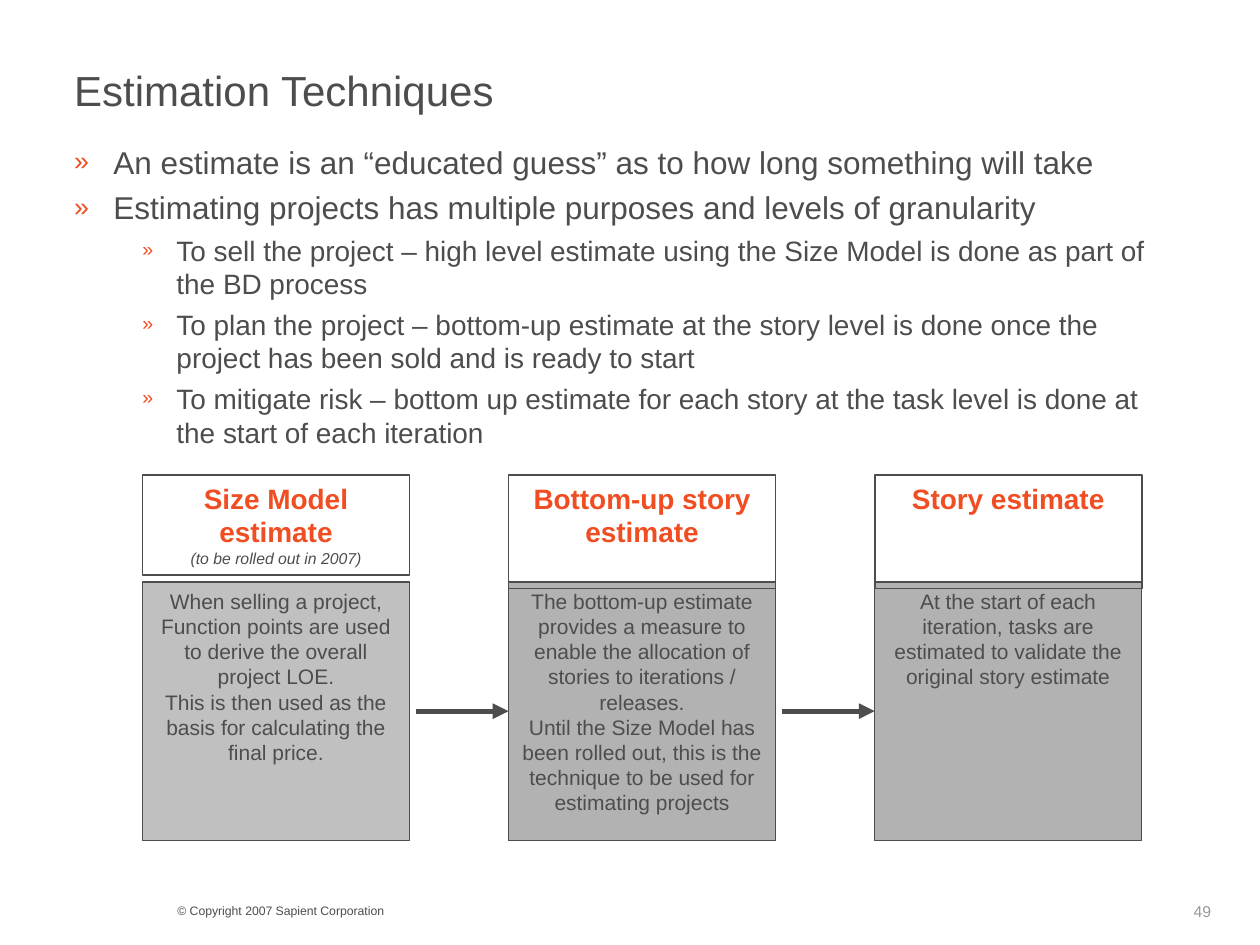
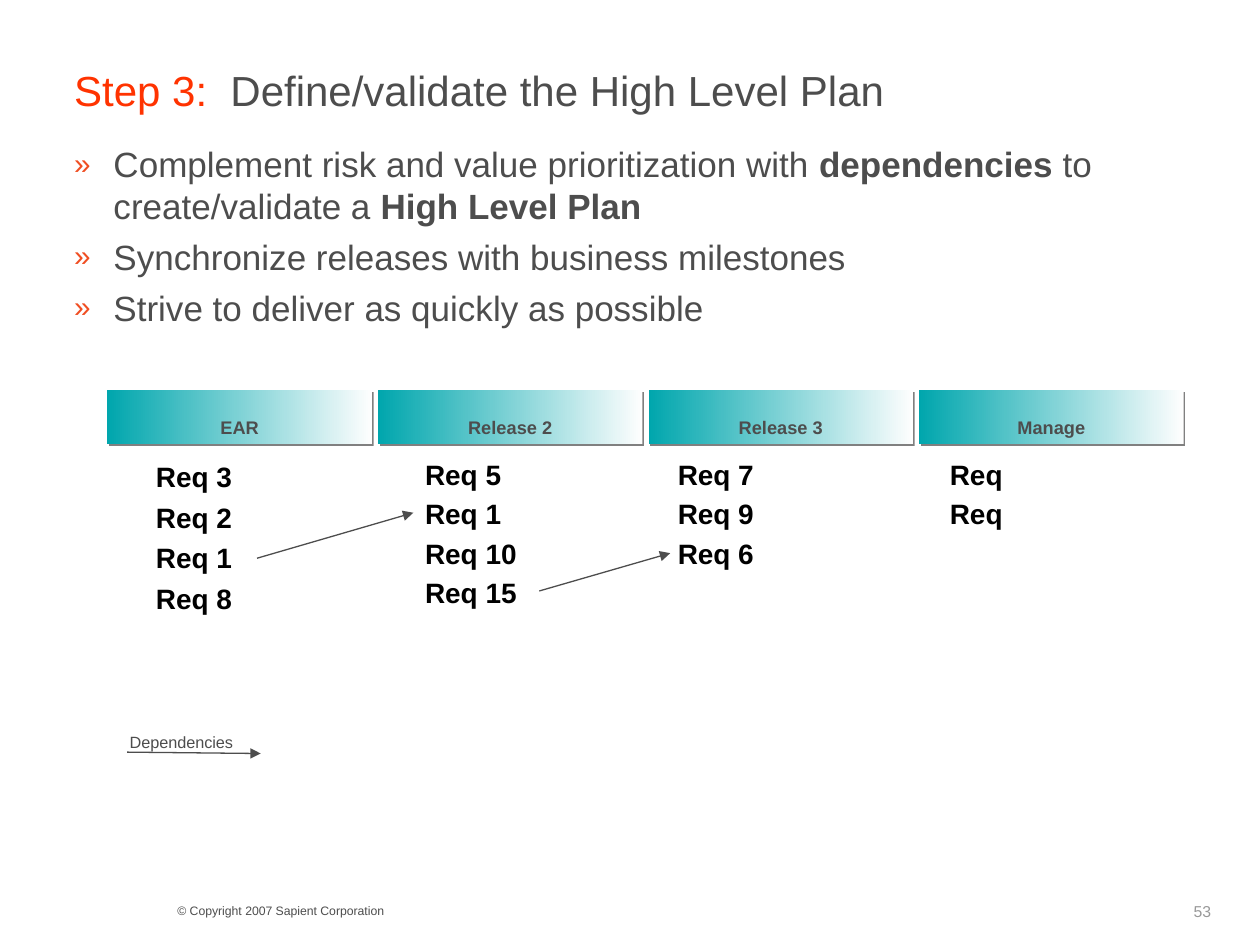
from lxml import etree
from pptx import Presentation
from pptx import util as u
from pptx.dml.color import RGBColor
from pptx.enum import shapes, text
from pptx.oxml import ns

GRAY, ORANGE, RED, BLACK = "4D4D4D", "F04E22", "FF3300", "000000"
PALE, TEAL, SHADE, NUMBER = "FEFEFE", "00A6AD", "808080", "999999"
FONT = "Arial"
COPYRIGHT = "© Copyright 2007 Sapient Corporation"

ESTIMATION = {
    "number": "49",
    "title": ["Estimation Techniques"],
    "size": 18,
    "bullets": [
        (0, ["An estimate is an “educated guess” as to how long something will take"]),
        (0, ["Estimating projects has multiple purposes and levels of granularity"]),
        (1, ["To sell the project – high level estimate using the Size Model is done as part of the BD process"]),
        (1, ["To plan the project – bottom-up estimate at the story level is done once the project "
             "has been sold and is ready to start"]),
        (1, ["To mitigate risk – bottom up estimate for each story at the task level is done at "
             "the start of each iteration"]),
    ],
}
STAGES = [
    ("Size Model estimate", "(to be rolled out in 2007)", 57, "C0C0C0",
     ["When selling a project, Function points are used to derive the overall project LOE.",
      "This is then used as the basis for calculating the final price."]),
    ("Bottom-up story estimate", None, 65, "B2B2B2",
     ["The bottom-up estimate provides a measure to enable the allocation of stories to iterations / releases.",
      "Until the Size Model has been rolled out, this is the technique to be used for estimating projects"]),
    ("Story estimate", None, 65, "B2B2B2",
     ["At the start of each iteration, tasks are estimated to validate the original story estimate"]),
]

PLAN = {
    "number": "53",
    "title": [("Step 3:", {"color": RED}), "\tDefine/validate the High Level Plan"],
    "size": 20,
    "bullets": [
        (0, ["Complement risk and value prioritization with ", ("dependencies ", {"bold": True}),
             "to create/validate a ", ("High Level Plan", {"bold": True})]),
        (0, ["Synchronize releases with business milestones"]),
        (0, ["Strive to deliver as quickly as possible"]),
    ],
}
RELEASES = [
    ("EAR", 82, 259, 23.3, ["Req 3", "Req 2", "Req 1", "Req 8"]),
    ("Release 2", 235.8, 258.2, 22.3, ["Req 5", "Req 1", "Req 10", "Req 15"]),
    ("Release 3", 380.2, 257.8, 22.6, ["Req 7", "Req 9", "Req 6"]),
    ("Manage", 535.7, 257.8, 22.3, ["Req", "Req"]),
]
DEPENDENCIES = [
    (146.9, 319, 236.2, 293),
    (308.2, 337.7, 383, 316.1),
    (72.7, 429.8, 149, 430.6),
]


def rgb(value):
    return RGBColor.from_string(value)


def add_element(parent, tag, **attributes):
    return etree.SubElement(parent, ns.qn(tag), {key: str(value) for key, value in attributes.items()})


def add_bullet(para, level):
    indent, hanging, percent = [(22.5, 22.5, 85), (58.5, 19.5, 70)][level]
    properties = para._p.get_or_add_pPr()
    properties.set("marL", str(u.Pt(indent)))
    properties.set("indent", str(-u.Pt(hanging)))
    add_element(add_element(properties, "a:buClr"), "a:srgbClr", val=ORANGE)
    add_element(properties, "a:buSzPct", val=percent * 1000)
    add_element(properties, "a:buFont", typeface=FONT)
    add_element(properties, "a:buChar", char="»")


def write(box, spans, size=12, color=GRAY, bold=False, italic=False, align=None,
          before=None, spacing=None, level=None, tab=None, baseline=None):
    frame = box.text_frame
    para = frame.paragraphs[0]
    if para.runs:
        para = frame.add_paragraph()
        if before:
            para.space_before = u.Pt(before)
    if level is not None:
        para.level = level
        add_bullet(para, level)
    if tab:
        tabs = add_element(para._p.get_or_add_pPr(), "a:tabLst")
        add_element(tabs, "a:tab", pos=u.Pt(tab), algn="l")
    if align:
        para.alignment = align
    if spacing:
        para.line_spacing = spacing
    for part in spans:
        words, changes = (part, {}) if isinstance(part, str) else part
        span = para.add_run()
        span.text = words
        font = span.font
        font.name, font.size, font.italic = FONT, u.Pt(size), italic
        font.bold = changes.get("bold", bold)
        font.color.rgb = rgb(changes.get("color", color))
        if baseline:
            span._r.get_or_add_rPr().set("baseline", str(baseline * 1000))


def add_box(page, left, top, width, height, anchor=text.MSO_ANCHOR.TOP, wrap=True):
    box = page.shapes.add_textbox(u.Pt(left), u.Pt(top), u.Pt(width), u.Pt(height))
    box.text_frame.word_wrap = wrap
    box.text_frame.vertical_anchor = anchor
    return box


def add_rectangle(page, left, top, width, height, fill=None, line=None,
                  anchor=text.MSO_ANCHOR.TOP, wrap=True):
    box = page.shapes.add_shape(shapes.MSO_SHAPE.RECTANGLE, u.Pt(left), u.Pt(top), u.Pt(width), u.Pt(height))
    box.shadow.inherit = False
    box.text_frame.word_wrap = wrap
    box.text_frame.vertical_anchor = anchor
    if fill:
        box.fill.solid()
        box.fill.fore_color.rgb = rgb(fill)
    else:
        box.fill.background()
    if line:
        box.line.color.rgb = rgb(GRAY)
        box.line.width = u.Pt(line)
    else:
        box.line.fill.background()
    return box


def add_arrow(page, x1, y1, x2, y2, width=0.75, target=None):
    arrow = page.shapes.add_connector(shapes.MSO_CONNECTOR.STRAIGHT, u.Pt(x1), u.Pt(y1), u.Pt(x2), u.Pt(y2))
    arrow.line.color.rgb = rgb(GRAY)
    arrow.line.width = u.Pt(width)
    add_element(arrow.line._get_or_add_ln(), "a:tailEnd", type="triangle")
    add_element(arrow._element.spPr, "a:effectLst")
    if target:
        arrow.end_connect(target, 1)


def add_page(deck, content):
    page = deck.slides.add_slide(deck.slide_layouts[6])
    write(add_box(page, 94.3, 512.6, 288, 16), [COPYRIGHT], size=7, spacing=1.01)
    write(add_box(page, 675, 512, 54, 17.3, wrap=False), [content["number"]], size=9, color=NUMBER)
    title = add_box(page, 35.3, 31.7, 649, 39.6, anchor=text.MSO_ANCHOR.MIDDLE)
    write(title, content["title"], size=24, tab=89.3 if len(content["title"]) > 1 else None)
    body = add_box(page, 35.3, 78, 648, 406.8)
    for level, spans in content["bullets"]:
        size = content["size"] - 2 * level
        write(body, spans, size=size, before=size / 4, level=level)
    return page


def add_stages(page):
    left, step, width = 81.4, 209.2, 152.6
    top, height = 332.6, 147.6
    center = text.PP_ALIGN.CENTER
    for index, (name, note, head_height, fill, lines) in enumerate(STAGES):
        x = left + index * step
        box = add_rectangle(page, x, top, width, height, fill=fill, line=0.75)
        for line in lines:
            write(box, [line], align=center)
        head = add_rectangle(page, x, 271.4, width, head_height, line=1)
        write(head, [name], size=16, color=ORANGE, bold=True, align=center)
        if note:
            write(head, [note], size=9, italic=True, align=center)
        if index:
            middle = top + height / 2
            add_arrow(page, x - 53, middle, x, middle, width=3, target=box)


def add_releases(page):
    for index, (name, left, top, step, items) in enumerate(RELEASES):
        band = add_rectangle(page, 61.4 + index * 154.6, 222.8, 151.2, 31,
                             anchor=text.MSO_ANCHOR.MIDDLE, wrap=False)
        band.fill.gradient()
        band.fill.gradient_angle = 180
        for stop, color in zip(band.fill.gradient_stops, (PALE, TEAL)):
            stop.color.rgb = rgb(color)
        effects = band._element.spPr.find(ns.qn("a:effectLst"))
        shadow = add_element(effects, "a:outerShdw", blurRad=0, dist=u.Pt(1.4), dir=45 * 60000,
                             algn="ctr", rotWithShape=0)
        add_element(shadow, "a:srgbClr", val=SHADE)
        write(band, [name], size=18, bold=True, align=text.PP_ALIGN.CENTER, baseline=-25)
        for row, item in enumerate(items):
            write(add_box(page, left, top + row * step, 120, 26.6), [item], size=16, color=BLACK, bold=True)
    write(add_box(page, 67, 403.9, 170, 29.5), ["Dependencies"], size=16, baseline=-25)
    for ends in DEPENDENCIES:
        add_arrow(page, *ends)


def main():
    deck = Presentation()
    deck.slide_width, deck.slide_height = u.Pt(720), u.Pt(540)
    add_stages(add_page(deck, ESTIMATION))
    add_releases(add_page(deck, PLAN))
    deck.save("out.pptx")


if __name__ == "__main__":
    main()
